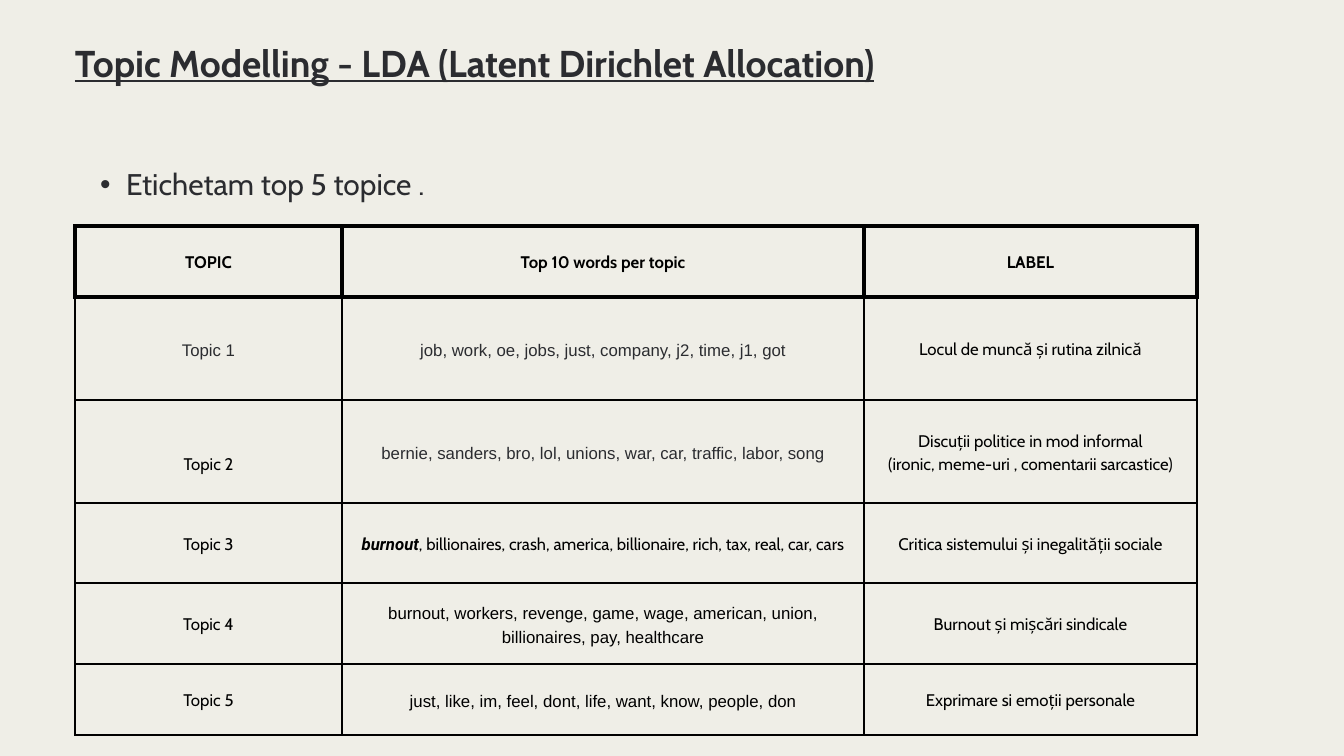
"""Build the topic modelling slide with its table of labelled topics."""
from lxml.etree import SubElement
from pptx import Presentation
from pptx.dml.color import RGBColor
from pptx.enum.text import MSO_ANCHOR, PP_ALIGN
from pptx.oxml.ns import qn
from pptx.util import Pt

PX = 914400 / 67.2
HUES = {"paper": "EFEEE7", "ink": "2B2C30", "line": "000000"}
TITLE = "Topic Modelling - LDA (Latent Dirichlet Allocation)"
POINT = "Etichetam top 5 topice ."
HEAD = ["TOPIC", "Top 10 words per topic", "LABEL"]
ROWS = [
    ["Topic 1", "job, work, oe, jobs, just, company, j2, time, j1, got",
     "Locul de muncă și rutina zilnică"],
    ["Topic 2", "bernie, sanders, bro, lol, unions, war, car, traffic, labor, song",
     "Discuții politice in mod informal\n(ironic, meme-uri , comentarii sarcastice)"],
    ["Topic 3", "burnout, billionaires, crash, america, billionaire, rich, tax, real, car, cars",
     "Critica sistemului și inegalității sociale"],
    ["Topic 4", "burnout, workers, revenge, game, wage, american, union, "
     "billionaires, pay, healthcare", "Burnout și mișcări sindicale"],
    ["Topic 5", "just, like, im, feel, dont, life, want, know, people, don",
     "Exprimare si emoții personale"],
]
WIDE = [267, 522, 333]
TALL = [71, 103, 103, 80, 81, 71]
LEFT, TOP, PAD, DROP = 75, 226, 14, 24
ARIAL = {(1, 0), (1, 1), (2, 1), (4, 1), (5, 1)}
GREY = {(1, 0), (1, 1), (2, 1)}
LOW = (2, 0)
STRONG = (3, 1)


def px(num):
    return round(num * PX)


def style(font, size, name, hue, bold=False):
    font.size, font.name, font.bold = Pt(size), name, bold
    font.color.rgb = RGBColor.from_string(HUES[hue])


def add_text(slide, box, text, size, lead, bold=False):
    frame = slide.shapes.add_textbox(*map(px, box)).text_frame
    frame.word_wrap = True
    frame.margin_left = frame.margin_right = frame.margin_top = frame.margin_bottom = 0
    para = frame.paragraphs[0]
    para.text, para.line_spacing = text, Pt(lead)
    style(para.font, size, "Cabin", "ink", bold)
    return para


def add_edges(cell, row):
    props = cell._tc.get_or_add_tcPr()
    for side in "LRTB":
        thick = row == 0 or (row == 1 and side == "T")
        edge = SubElement(props, qn(f"a:ln{side}"), w=str(Pt(4.5 if thick else 2.25)))
        fill = SubElement(edge, qn("a:solidFill"))
        SubElement(fill, qn("a:srgbClr"), val=HUES["line"])


def fill_cell(cell, spot, text):
    add_edges(cell, spot[0])
    cell.fill.background()
    cell.vertical_anchor = MSO_ANCHOR.MIDDLE
    cell.margin_left = cell.margin_right = cell.margin_bottom = px(PAD)
    cell.margin_top = px(PAD + DROP if spot == LOW else PAD)
    cell.text_frame.text = text
    for para in cell.text_frame.paragraphs:
        para.alignment, para.line_spacing = PP_ALIGN.CENTER, Pt(25.2)
        style(para.font, 18, "Arial" if spot in ARIAL else "Cabin",
              "ink" if spot in GREY else "line", spot[0] == 0)
    if spot == STRONG:
        run, rest = para.runs[0], para.add_run()
        word, comma, tail = text.partition(",")
        run.text, rest.text = word, comma + tail
        run.font.name, run.font.bold, run.font.italic = "Roboto", True, True


def add_grid(slide):
    data = [HEAD] + ROWS
    box = map(px, (LEFT, TOP, sum(WIDE), sum(TALL)))
    grid = slide.shapes.add_table(len(data), len(HEAD), *box).table
    grid.first_row = grid.horz_banding = False
    for col, wide in zip(grid.columns, WIDE):
        col.width = px(wide)
    for row, tall in zip(grid.rows, TALL):
        row.height = px(tall)
    for r, line in enumerate(data):
        for c, text in enumerate(line):
            fill_cell(grid.cell(r, c), (r, c), text)


def main():
    deck = Presentation()
    deck.slide_width, deck.slide_height = px(1344), px(756)
    slide = deck.slides.add_slide(deck.slide_layouts[6])
    slide.background.fill.solid()
    slide.background.fill.fore_color.rgb = RGBColor.from_string(HUES["paper"])
    add_grid(slide)
    title = add_text(slide, (LEFT, 15, 1105, 64), TITLE, 40, 74.8, True)
    title.font.underline = True
    point = add_text(slide, (LEFT, 146, 1071, 50), POINT, 32, 59.8)
    props = point._p.get_or_add_pPr()
    props.set("marL", str(px(51)))
    props.set("indent", str(px(-26)))
    SubElement(props, qn("a:buFont"), typeface="Arial")
    SubElement(props, qn("a:buChar"), char="•")
    props.append(props.find(qn("a:defRPr")))
    deck.save("out.pptx")


if __name__ == "__main__":
    main()
